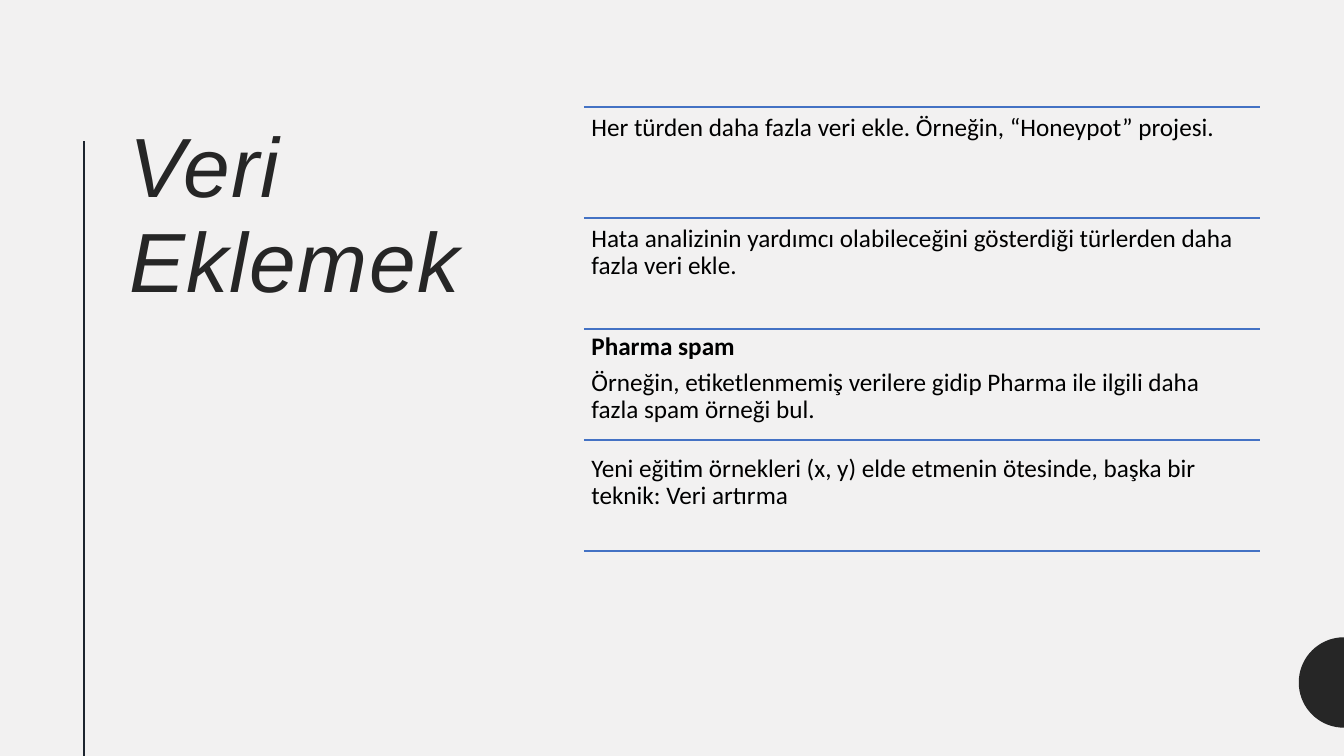
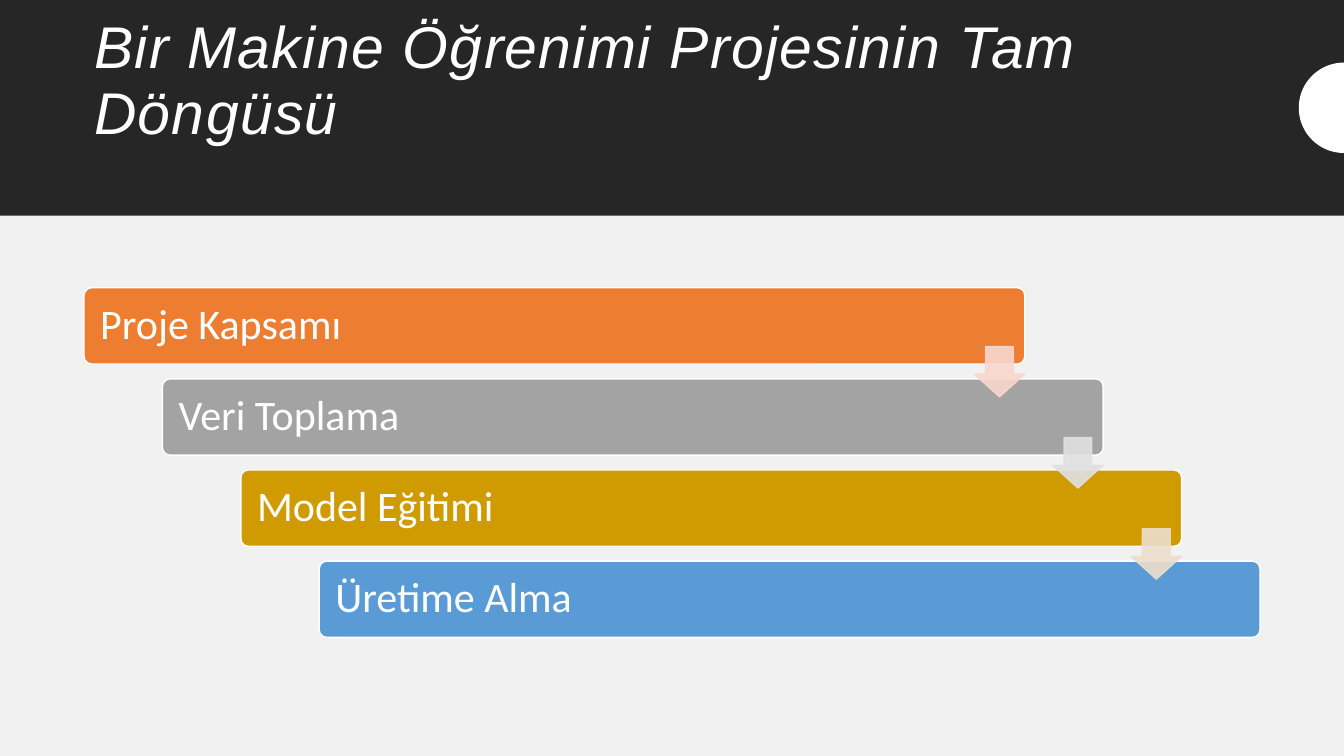
import math
from pptx import Presentation
from pptx.dml.color import RGBColor
from pptx.enum.shapes import MSO_CONNECTOR, MSO_SHAPE
from pptx.enum.text import MSO_ANCHOR, MSO_AUTO_SIZE, PP_ALIGN
from pptx.oxml.ns import qn
from pptx.util import Pt
from lxml import etree

LINE = MSO_CONNECTOR.STRAIGHT
RECT, ROUND, DOWN = MSO_SHAPE.RECTANGLE, MSO_SHAPE.ROUNDED_RECTANGLE, MSO_SHAPE.DOWN_ARROW
TOP, MIDDLE = MSO_ANCHOR.TOP, MSO_ANCHOR.MIDDLE
LEFT, NO_FIT = PP_ALIGN.LEFT, MSO_AUTO_SIZE.NONE

W, H = 960, 540
PAPER, DARK, WHITE, RULE = "F2F1F1", "262626", "FFFFFF", "4472C4"
TITLE_FONT = {"name": "Arial", "italic": True}
BODY_FONT = {"name": "Calibri"}

DATA_TITLE = "Veri Eklemek"
DATA_ROWS = [
    (0, [("Her türden daha fazla veri ekle. Örneğin, “Honeypot” projesi.", False)]),
    (0, [("Hata analizinin yardımcı olabileceğini gösterdiği türlerden daha fazla veri ekle.", False)]),
    (-2, [("Pharma spam", True),
          ("Örneğin, etiketlenmemiş verilere gidip Pharma ile ilgili daha fazla spam örneği bul.", False)]),
    (6, [("Yeni eğitim örnekleri (x, y) elde etmenin ötesinde, başka bir teknik: Veri artırma", False)]),
]
CYCLE_TITLE = "Bir Makine Öğrenimi Projesinin Tam Döngüsü"
STEPS = [
    ("Proje Kapsamı", "ED7D31", "F8D7CE"),
    ("Veri Toplama", "A3A3A3", "E0E0E0"),
    ("Model Eğitimi", "CF9B00", "EDDECC"),
    ("Üretime Alma", "5B9BD5", None),
]


def rgb(hex_color):
    return RGBColor.from_string(hex_color)


def set_font(font, color, **values):
    font.color.rgb = rgb(color)
    for key, value in values.items():
        setattr(font, key, value)


def set_frame(tf, inset, anchor):
    tf.word_wrap, tf.auto_size, tf.vertical_anchor = True, NO_FIT, anchor
    for side in ("left", "top", "right", "bottom"):
        setattr(tf, "margin_" + side, Pt(inset))


def add_paragraph(tf, index, text, color, size, bold=False):
    p = tf.paragraphs[0] if index == 0 else tf.add_paragraph()
    p.alignment, p.line_spacing, p.space_after = LEFT, 0.9, Pt(0.35 * size)
    r = p.add_run()
    r.text = text
    set_font(r.font, color, size=Pt(size), bold=bold, **BODY_FONT)


def set_paint(sp, fill, line=None, alpha=None):
    sp.shadow.inherit = False
    sp.fill.solid()
    sp.fill.fore_color.rgb = rgb(fill)
    if line:
        sp.line.color.rgb, sp.line.width = rgb(line), Pt(1)
    else:
        sp.line.fill.background()
    if alpha:
        for clr in sp._element.spPr.iter(qn("a:srgbClr")):
            etree.SubElement(clr, qn("a:alpha")).set("val", str(alpha * 1000))


def add_box(s, kind, box, fill, line=None, alpha=None, adjust=()):
    sp = s.shapes.add_shape(kind, *map(Pt, box))
    for i, value in enumerate(adjust):
        sp.adjustments[i] = value
    set_paint(sp, fill, line, alpha)
    return sp


def add_line(s, x1, y1, x2, y2, color, width):
    c = s.shapes.add_connector(LINE, Pt(x1), Pt(y1), Pt(x2), Pt(y2))
    c.line.color.rgb, c.line.width = rgb(color), Pt(width)
    etree.SubElement(c._element.spPr, qn("a:effectLst"))


def add_half_disc(s, center, color, radius=32.3, steps=36):
    angles = [math.pi * (0.5 + i / steps) for i in range(steps + 1)]
    points = [(Pt(W + radius * math.cos(a)), Pt(center - radius * math.sin(a))) for a in angles]
    outline = s.shapes.build_freeform(*points[0], scale=1.0)
    outline.add_line_segments(points[1:], close=True)
    set_paint(outline.convert_to_shape(), color)


def set_title(s, text, box, size, color, anchor):
    sp = s.shapes.title
    sp.left, sp.top, sp.width, sp.height = map(Pt, box)
    tf = sp.text_frame
    tf.word_wrap, tf.auto_size, tf.vertical_anchor = True, NO_FIT, anchor
    p = tf.paragraphs[0]
    p.alignment, p.line_spacing = LEFT, 0.94
    r = p.add_run()
    r.text = text
    set_font(r.font, color, size=Pt(size), **TITLE_FONT)
    r._r.get_or_add_rPr().set("spc", "100")


def build_data(s):
    set_title(s, DATA_TITLE, (85, 83.5, 281.5, 379), 60, DARK, TOP)
    add_line(s, 60, 101, 60, H, "1D242E", 1.5)
    add_half_disc(s, 487.5, DARK)
    left, top, width, pitch = 417, 76.5, 483, 79.25
    for i in range(len(DATA_ROWS) + 1):
        y = top + i * pitch
        add_line(s, left, y, left + width, y, RULE, 1)
    for i, (shift, paragraphs) in enumerate(DATA_ROWS):
        box = (left, top + i * pitch + shift, width, pitch)
        tf = s.shapes.add_textbox(*map(Pt, box)).text_frame
        set_frame(tf, 5.4, TOP)
        for n, (text, bold) in enumerate(paragraphs):
            add_paragraph(tf, n, text, "000000", 18, bold)


def build_cycle(s):
    band = add_box(s, RECT, (0, 0, W, 154), DARK)
    s.shapes._spTree.insert(2, band._element)
    set_title(s, CYCLE_TITLE, (60, 6, 840, 104.5), 42, WHITE, MIDDLE)
    add_half_disc(s, 77, WHITE)
    left, top, width, height = 60, 205.5, 672, 54.5
    step_x, step_y, arrow = 56, 65.1, 36
    for i, (text, fill, _) in enumerate(STEPS):
        box = (left + i * step_x, top + i * step_y, width, height)
        tf = add_box(s, ROUND, box, fill, WHITE, adjust=[0.1]).text_frame
        set_frame(tf, 10, MIDDLE)
        add_paragraph(tf, 0, text, WHITE, 30)
    for i, (_, _, tint) in enumerate(STEPS[:-1]):
        box = (left + width - arrow + i * step_x, 247.5 + i * step_y, arrow, arrow)
        add_box(s, DOWN, box, tint, tint, 90, [0.55, 0.45])


def main():
    prs = Presentation()
    prs.slide_width, prs.slide_height = Pt(W), Pt(H)
    fill = prs.slide_master.background.fill
    fill.solid()
    fill.fore_color.rgb = rgb(PAPER)
    for build in (build_data, build_cycle):
        build(prs.slides.add_slide(prs.slide_layouts[5]))
    prs.save("out.pptx")


if __name__ == "__main__":
    main()
